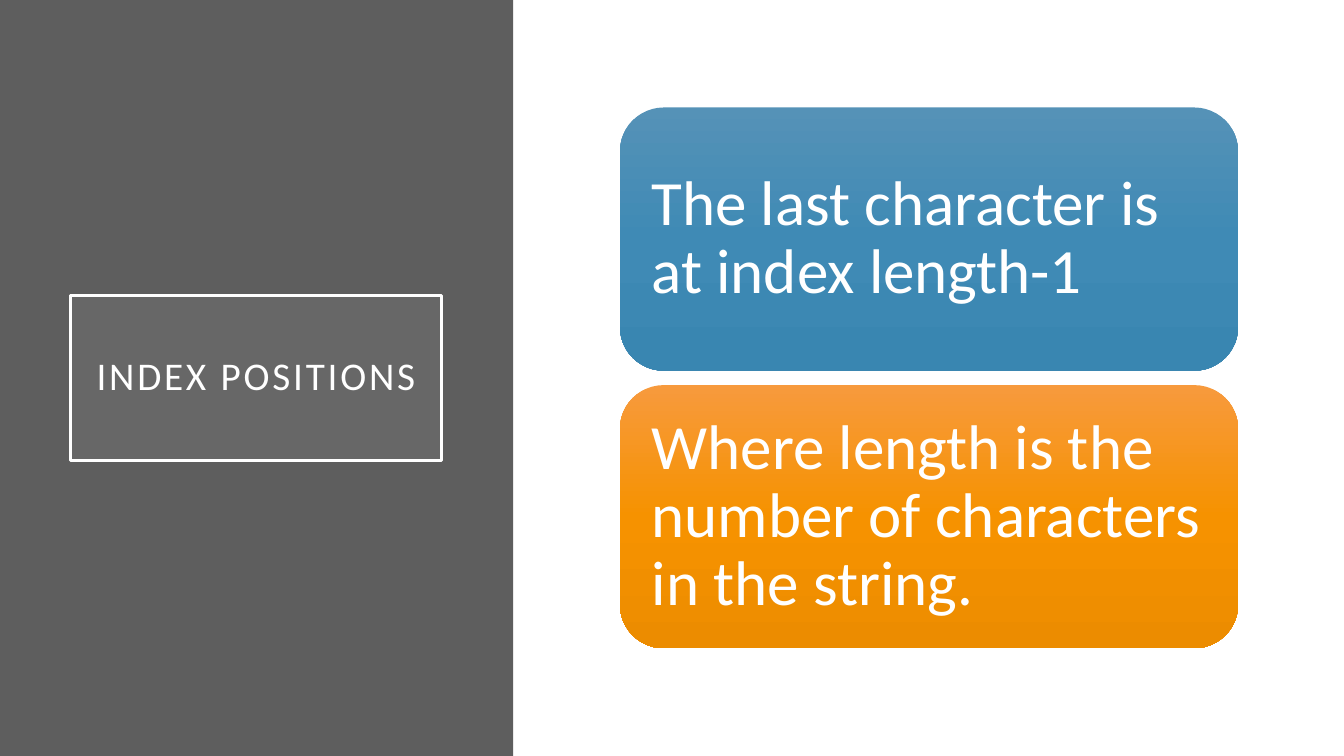
from copy import deepcopy

from pptx import Presentation
from pptx.dml.color import RGBColor
from pptx.enum.shapes import MSO_SHAPE as Shape
from pptx.enum.text import MSO_ANCHOR as Anchor, MSO_AUTO_SIZE as AutoSize, PP_ALIGN as Align
from pptx.oxml.ns import qn
from pptx.oxml.xmlchemy import OxmlElement
from pptx.util import Pt

FONT = "Calibri"
WHITE = "FFFFFF"

# Cards: text and gradient colours from top to bottom
CARDS = [
    ("The last character is at index length-1", ["5592B7", "3F8AB5", "3986B1"]),
    ("Where length is the number of characters in the string.", ["F79A3D", "F69200", "EC8C00"]),
]
CARD_LEFT, CARD_TOP, CARD_WIDTH, CARD_HEIGHT = 442.8, 76.8, 441.6, 188
CARD_GAP = 10.3


def color(hex_code):
    return RGBColor.from_string(hex_code)


def write_text(shape, text, size, align, inset):
    frame = shape.text_frame
    frame.word_wrap = True
    frame.auto_size = AutoSize.NONE
    frame.vertical_anchor = Anchor.MIDDLE
    frame.margin_left = frame.margin_right = Pt(inset)
    frame.margin_top = frame.margin_bottom = Pt(inset)
    line = frame.paragraphs[0]
    line.alignment = align
    line.line_spacing = 0.9
    run = line.add_run()
    run.text = text
    run.font.name = FONT
    run.font.size = Pt(size)
    run.font.color.rgb = color(WHITE)
    return run


def add_block(slide, preset, left, top, width, height):
    block = slide.shapes.add_shape(preset, Pt(left), Pt(top), Pt(width), Pt(height))
    block.shadow.inherit = False
    block.line.fill.background()
    return block


def fill_gradient(shape, hex_codes):
    shape.fill.gradient()
    shape.fill.gradient_angle = 270  # first colour at the top
    stop_list = shape.fill._xPr.find(qn("a:gradFill")).find(qn("a:gsLst"))
    stop_list.append(deepcopy(stop_list[0]))
    for i, (stop, hex_code) in enumerate(zip(shape.fill.gradient_stops, hex_codes)):
        stop.position = i / (len(hex_codes) - 1)
        stop.color.rgb = color(hex_code)


def add_side_panel(slide):
    panel = add_block(slide, Shape.RECTANGLE, 0, 0, 366.5, 540)
    panel.fill.solid()
    panel.fill.fore_color.rgb = color("5E5E5E")


def place_title(slide, text):
    title = slide.shapes.title
    title.left, title.top, title.width, title.height = Pt(50.4), Pt(211), Pt(265), Pt(118)
    # Translucent fill and white frame
    title.fill.solid()
    title.fill.fore_color.rgb = color("9E9E9E")
    alpha = OxmlElement("a:alpha")
    alpha.set("val", "15000")
    title.fill._xPr.find(qn("a:solidFill"))[0].append(alpha)
    title.line.color.rgb = color(WHITE)
    title.line.width = Pt(2.5)
    # Letter-spaced heading
    run = write_text(title, text, 28, Align.CENTER, 14.4)
    run.font._element.set("spc", "200")
    # Bring the title in front of the panel
    slide.shapes._spTree.append(title._element)


def add_card(slide, row, text, hex_codes):
    top = CARD_TOP + row * (CARD_HEIGHT + CARD_GAP)
    card = add_block(slide, Shape.ROUNDED_RECTANGLE, CARD_LEFT, top, CARD_WIDTH, CARD_HEIGHT)
    fill_gradient(card, hex_codes)
    write_text(card, text, 45, Align.LEFT, 13.5)


def main():
    deck = Presentation()
    deck.slide_width, deck.slide_height = Pt(960), Pt(540)
    slide = deck.slides.add_slide(deck.slide_layouts.get_by_name("Title Only"))
    add_side_panel(slide)
    place_title(slide, "INDEX POSITIONS")
    for row, (text, hex_codes) in enumerate(CARDS):
        add_card(slide, row, text, hex_codes)
    deck.save("out.pptx")


if __name__ == "__main__":
    main()
